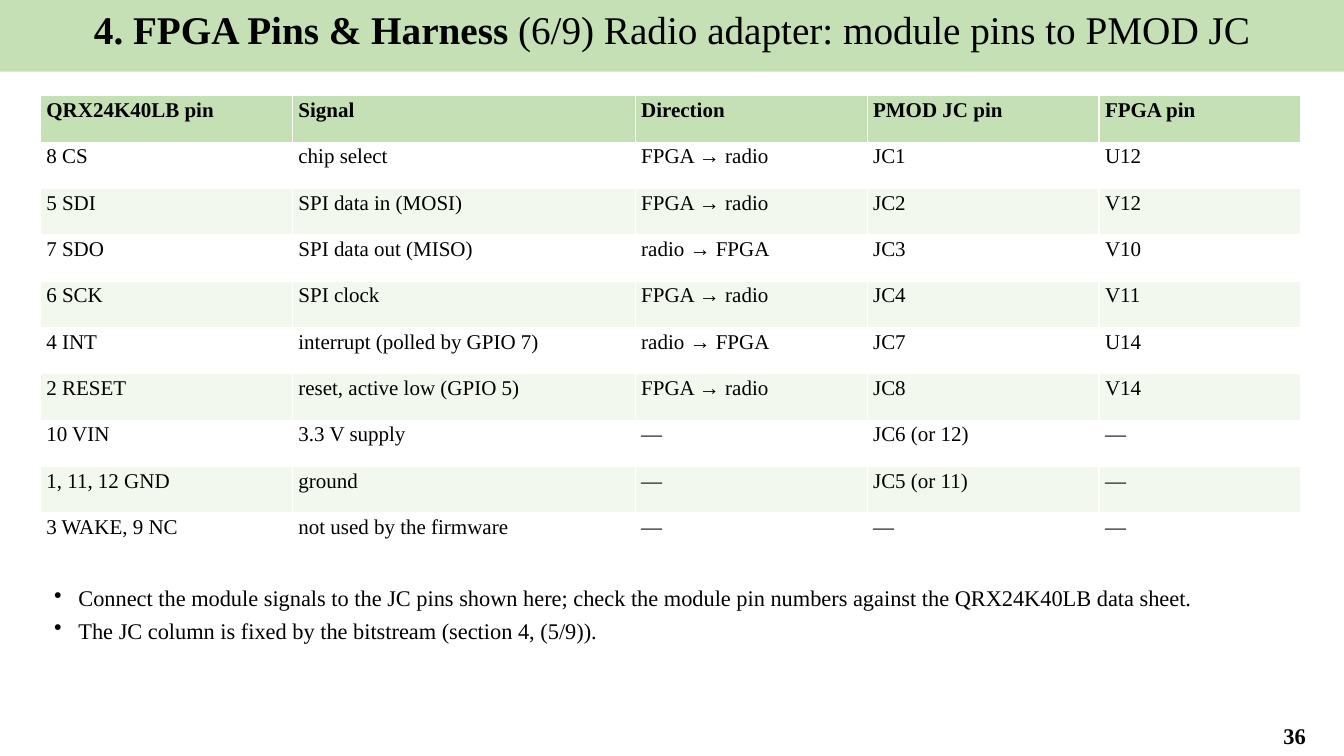
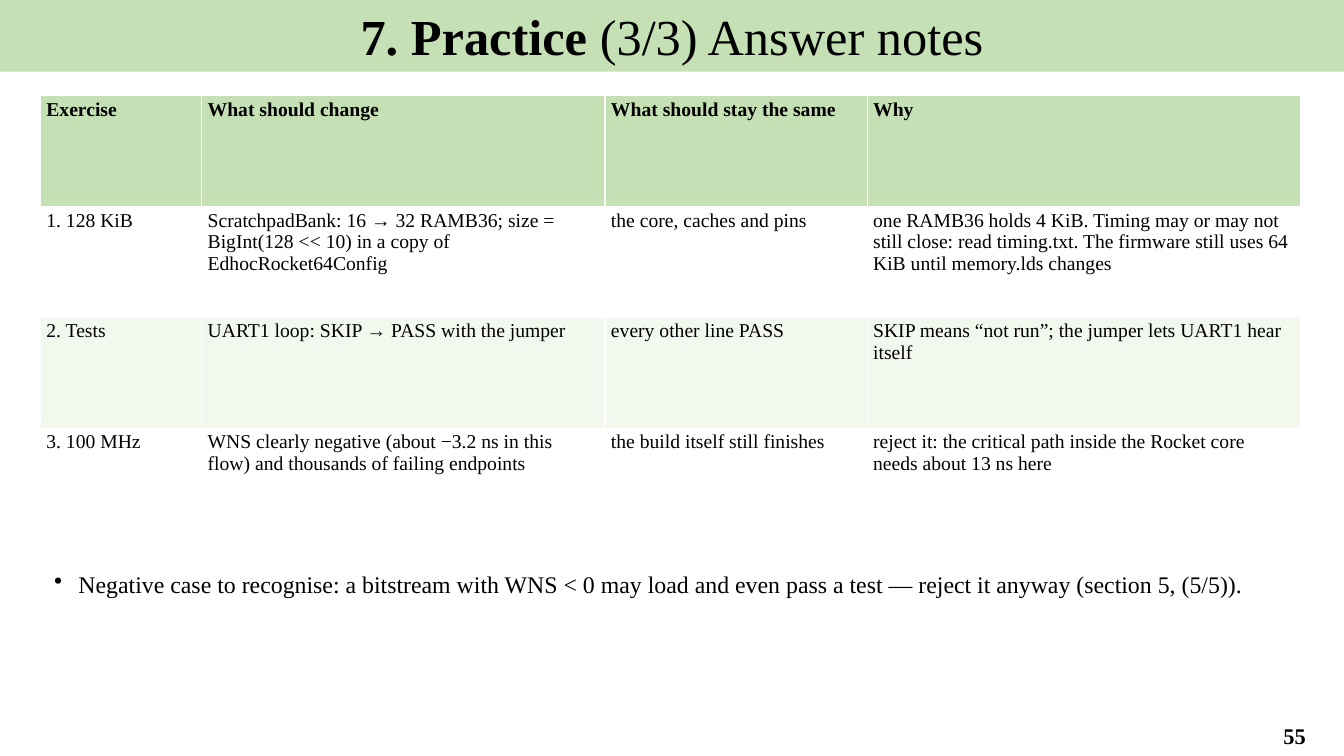
from lxml.etree import SubElement
from pptx import Presentation
from pptx.dml.color import RGBColor
from pptx.enum.text import MSO_ANCHOR, MSO_AUTO_SIZE, PP_ALIGN
from pptx.oxml.ns import qn
from pptx.util import Emu, Pt

# Shared look
FONT = "Times New Roman"
BLACK, WHITE = "000000", "FFFFFF"
GREEN, PALE_GREEN = "C5E0B4", "F2F8EE"
SLIDE_WIDTH, SLIDE_HEIGHT = 1333, 750
BAND_HEIGHT = 71
MARGIN, TABLE_TOP = 40, 95
CONTENT_WIDTH = 1250

# Slide content; an en space sets each pin number apart from its name
PIN_ROWS = [
    ["QRX24K40LB pin", "Signal", "Direction", "PMOD JC pin", "FPGA pin"],
    ["8 CS", "chip select", "FPGA → radio", "JC1", "U12"],
    ["5 SDI", "SPI data in (MOSI)", "FPGA → radio", "JC2", "V12"],
    ["7 SDO", "SPI data out (MISO)", "radio → FPGA", "JC3", "V10"],
    ["6 SCK", "SPI clock", "FPGA → radio", "JC4", "V11"],
    ["4 INT", "interrupt (polled by GPIO 7)", "radio → FPGA", "JC7", "U14"],
    ["2 RESET", "reset, active low (GPIO 5)", "FPGA → radio", "JC8", "V14"],
    ["10 VIN", "3.3 V supply", "—", "JC6 (or 12)", "—"],
    ["1, 11, 12 GND", "ground", "—", "JC5 (or 11)", "—"],
    ["3 WAKE, 9 NC", "not used by the firmware", "—", "—", "—"],
]
PIN_NOTES = [
    "Connect the module signals to the JC pins shown here; check the module "
    "pin numbers against the QRX24K40LB data sheet.",
    "The JC column is fixed by the bitstream (section 4, (5/9)).",
]
ANSWER_ROWS = [
    ["Exercise", "What should change", "What should stay the same", "Why"],
    ["1. 128 KiB",
     "ScratchpadBank: 16 → 32 RAMB36; size = BigInt(128 << 10) in a copy of "
     "EdhocRocket64Config",
     "the core, caches and pins",
     "one RAMB36 holds 4 KiB. Timing may or may not still close: read "
     "timing.txt. The firmware still uses 64 KiB until memory.lds changes"],
    ["2. Tests",
     "UART1 loop: SKIP → PASS with the jumper",
     "every other line PASS",
     "SKIP means “not run”; the jumper lets UART1 hear itself"],
    ["3. 100 MHz",
     "WNS clearly negative (about −3.2 ns in this flow) and thousands of "
     "failing endpoints",
     "the build itself still finishes",
     "reject it: the critical path inside the Rocket core needs about 13 ns "
     "here"],
]
ANSWER_NOTES = [
    "Negative case to recognise: a bitstream with WNS < 0 may load and even "
    "pass a test — reject it anyway (section 5, (5/5)).",
]


def px(length):
    """Turn px, 100 to the inch, into EMU."""
    return Emu(length * 9144)


def color(value):
    return RGBColor.from_string(value)


def add_run(paragraph, text, size, bold=False):
    run = paragraph.add_run()
    run.text = text
    run.font.name = FONT
    run.font.size = Pt(size)
    run.font.bold = bold
    run.font.color.rgb = color(BLACK)


def add_text_box(slide, left, top, width, height):
    box = slide.shapes.add_textbox(px(left), px(top), px(width), px(height))
    box.text_frame.word_wrap = True
    return box.text_frame


def add_slide(presentation, section, topic, title_size, number):
    """Start a slide with its title band and page number."""
    slide = presentation.slides.add_slide(presentation.slide_layouts[5])

    # Title band
    title = slide.shapes.title
    title.left, title.top = px(0), px(0)
    title.width, title.height = px(SLIDE_WIDTH), px(BAND_HEIGHT)
    title.fill.solid()
    title.fill.fore_color.rgb = color(GREEN)
    frame = title.text_frame
    frame.auto_size = MSO_AUTO_SIZE.NONE
    frame.vertical_anchor = MSO_ANCHOR.TOP
    paragraph = frame.paragraphs[0]
    paragraph.alignment = PP_ALIGN.CENTER
    add_run(paragraph, section + " ", title_size, bold=True)
    add_run(paragraph, topic, title_size)

    # Page number
    frame = add_text_box(slide, 1235, 710, 98, 39)
    frame.vertical_anchor = MSO_ANCHOR.MIDDLE
    paragraph = frame.paragraphs[0]
    paragraph.alignment = PP_ALIGN.CENTER
    add_run(paragraph, str(number), 16, bold=True)
    return slide


def fill_cell(cell, text, size, row_index):
    header = row_index == 0
    banded = header or row_index % 2 == 0
    cell.margin_left = cell.margin_right = px(6)
    cell.margin_top = cell.margin_bottom = px(3)
    cell.fill.solid()
    cell.fill.fore_color.rgb = color(
        GREEN if header else PALE_GREEN if banded else WHITE)
    add_run(cell.text_frame.paragraphs[0], text, size, bold=header)


def add_table(slide, rows, column_widths, row_height, size):
    """Add a table with a green header and pale bands on even rows."""
    table = slide.shapes.add_table(
        len(rows), len(column_widths), px(MARGIN), px(TABLE_TOP),
        px(sum(column_widths)), px(row_height * len(rows))).table
    table.horz_banding = False
    for column, width in zip(table.columns, column_widths):
        column.width = px(width)
    for row_index, texts in enumerate(rows):
        table.rows[row_index].height = px(row_height)
        for column_index, text in enumerate(texts):
            fill_cell(table.cell(row_index, column_index), text, size,
                      row_index)


def add_bullets(slide, texts, top, size):
    frame = add_text_box(slide, MARGIN, top, CONTENT_WIDTH, 120)
    for index, text in enumerate(texts):
        paragraph = frame.add_paragraph() if index else frame.paragraphs[0]
        properties = paragraph._p.get_or_add_pPr()
        properties.set("marL", str(px(28)))
        properties.set("indent", str(px(-24)))
        SubElement(properties, qn("a:buChar")).set("char", "•")
        paragraph.space_after = Pt(4)
        add_run(paragraph, text, size)


def main():
    presentation = Presentation()
    presentation.slide_width = px(SLIDE_WIDTH)
    presentation.slide_height = px(SLIDE_HEIGHT)

    # Radio adapter pins
    slide = add_slide(presentation, "4. FPGA Pins & Harness",
                      "(6/9) Radio adapter: module pins to PMOD JC", 28, 36)
    add_table(slide, PIN_ROWS, [250, 340, 230, 230, 200], 46, 15)
    add_bullets(slide, PIN_NOTES, 575, 16)

    # Answer notes
    slide = add_slide(presentation, "7. Practice", "(3/3) Answer notes", 36, 55)
    add_table(slide, ANSWER_ROWS, [160, 400, 260, 430], 110, 14)
    add_bullets(slide, ANSWER_NOTES, 560, 17)

    presentation.save("out.pptx")


if __name__ == "__main__":
    main()
